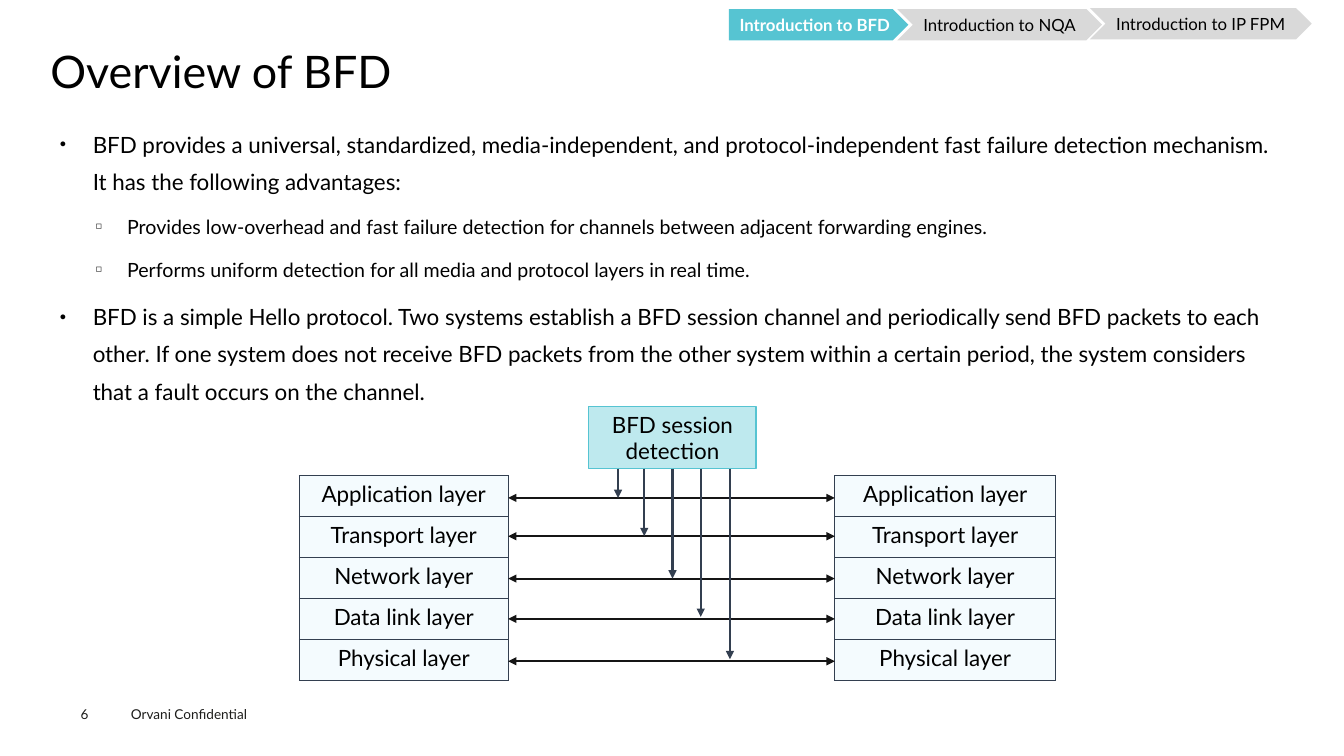
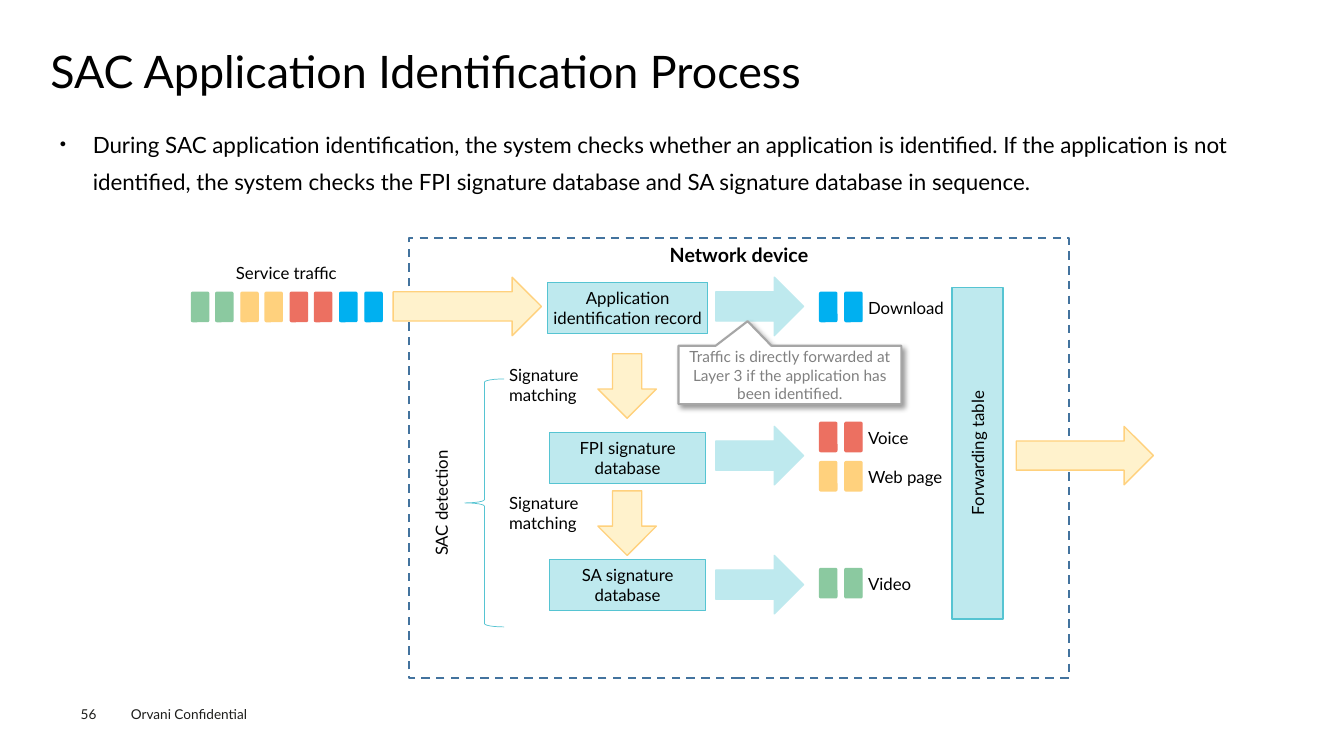
from lxml import etree
from pptx import Presentation
from pptx.dml.color import RGBColor
from pptx.enum.dml import MSO_LINE
from pptx.enum.shapes import MSO_CONNECTOR, MSO_SHAPE
from pptx.enum.text import MSO_ANCHOR, MSO_AUTO_SIZE, PP_ALIGN
from pptx.oxml.ns import qn
from pptx.util import Pt

PX = 9144  # one hundredth of an inch
FONT = "Lato"
LEFT, CENTER = PP_ALIGN.LEFT, PP_ALIGN.CENTER
TOP, MIDDLE = MSO_ANCHOR.TOP, MSO_ANCHOR.MIDDLE
RECT, TOKEN, ARROW = MSO_SHAPE.RECTANGLE, MSO_SHAPE.ROUNDED_RECTANGLE, MSO_SHAPE.RIGHT_ARROW
PENTAGON, CHEVRON = MSO_SHAPE.PENTAGON, MSO_SHAPE.CHEVRON
BRACE, CALLOUT = MSO_SHAPE.LEFT_BRACE, MSO_SHAPE.RECTANGULAR_CALLOUT

BLACK = RGBColor(0x00, 0x00, 0x00)
WHITE = RGBColor(0xFF, 0xFF, 0xFF)
INK = RGBColor(0x1D, 0x1D, 0x1B)
LINK = RGBColor(0x15, 0x15, 0x15)
SLATE = RGBColor(0x33, 0x3F, 0x50)
TEAL = RGBColor(0x56, 0xC4, 0xD2)
PALE_TEAL = RGBColor(0xBE, 0xE9, 0xEE)
ICE = RGBColor(0xF4, 0xFB, 0xFE)
SILVER = RGBColor(0xD9, 0xD9, 0xD9)
GREY = RGBColor(0xA6, 0xA6, 0xA6)
DARK_GREY = RGBColor(0x80, 0x80, 0x80)
NAVY = RGBColor(0x43, 0x73, 0x9E)
CREAM = RGBColor(0xFF, 0xF2, 0xCC)
YELLOW = RGBColor(0xFF, 0xD1, 0x7D)
RED = RGBColor(0xEC, 0x70, 0x61)
GREEN = RGBColor(0x8B, 0xC9, 0xA0)
BLUE = RGBColor(0x00, 0xB0, 0xF0)

TITLE_AREA = (50, 49, 1235, 54)
BODY_AREA = (50, 115, 1235, 533)
FOOTER = "Orvani Confidential"
INSETS = (4, 5, 4, 5)
# per level: size, left margin, indent, space before, bullet
LEVELS = [(16, 33, -33, 7.9, "●"), (14, 67, -31, 7.2, "◻")]

BFD_POINTS = [
    (0, "BFD provides a universal, standardized, media-independent, and protocol-independent "
        "fast failure detection mechanism. It has the following advantages:"),
    (1, "Provides low-overhead and fast failure detection for channels between adjacent "
        "forwarding engines."),
    (1, "Performs uniform detection for all media and protocol layers in real time."),
    (0, "BFD is a simple Hello protocol. Two systems establish a BFD session channel and "
        "periodically send BFD packets to each other. If one system does not receive BFD packets "
        "from the other system within a certain period, the system considers that a fault occurs "
        "on the channel."),
]
CHAPTERS = [
    ("Introduction to BFD", PENTAGON, (723, 9, 178, 31), TEAL, WHITE, True),
    ("Introduction to NQA", CHEVRON, (890, 9, 203, 31), SILVER, BLACK, False),
    ("Introduction to IP FPM", CHEVRON, (1081, 8, 220, 31), SILVER, BLACK, False),
]
# layer, height of its link, place and end of its detection arrow
LAYERS = [
    ("Application layer", 494, 613, 494),
    ("Transport layer", 532, 639, 532),
    ("Network layer", 574, 667, 574),
    ("Data link layer", 614, 695, 612),
    ("Physical layer", 656, 724, 654),
]
STACKS = [(297, 472, 207, 203), (828, 472, 219, 203)]
SESSION = (584, 403, 166, 62)

SAC_POINTS = [
    (0, "During SAC application identification, the system checks whether an application is "
        "identified. If the application is not identified, the system checks the FPI signature "
        "database and SA signature database in sequence."),
]
TRAFFIC = [GREEN, GREEN, YELLOW, YELLOW, RED, RED, BLUE, BLUE]
STAGES = [
    ("Application identification record", (543, 280, 159, 51), 275),
    ("FPI signature database", (545, 429, 155, 51), 423),
    ("SA signature database", (545, 555, 155, 51), 551),
]
RESULTS = [("Download", 290, BLUE), ("Voice", 419, RED), ("Web page", 458, YELLOW),
           ("Video", 564, GREEN)]
FLOWS = [((390, 275, 147, 58), 0), ((590, 354, 64, 58), 90), ((590, 490, 64, 58), 90),
         ((1008, 423, 136, 58), 0)]
LABELS = [("Service traffic", (230, 256, 112, 30)), ("Signature matching", (501, 357, 134, 50)),
          ("Signature matching", (501, 484, 137, 50))]


def emu(lengths):
    return [length * PX for length in lengths]


def write(frame, text, size, colour=BLACK, bold=False, align=LEFT, anchor=TOP, insets=INSETS):
    """Fill a text frame with one formatted paragraph."""
    frame.word_wrap = True
    frame.vertical_anchor = anchor
    (frame.margin_left, frame.margin_top,
     frame.margin_right, frame.margin_bottom) = emu(insets)
    para = frame.paragraphs[0]
    para.alignment = align
    add_span(para, text, size, colour, bold)
    return para


def add_span(para, text, size, colour=BLACK, bold=False):
    span = para.add_run()
    span.text = text
    span.font.name, span.font.size, span.font.bold = FONT, Pt(size), bold
    span.font.color.rgb = colour


def add_label(page, text, area, size=12, **style):
    box = page.shapes.add_textbox(*emu(area))
    write(box.text_frame, text, size, **style)
    return box


def add_box(page, kind, area, fill=None, line=None, width=1, rotation=0):
    box = page.shapes.add_shape(kind, *emu(area))
    box.shadow.inherit = False
    box.rotation = rotation
    if fill is None:
        box.fill.background()
    else:
        box.fill.solid()
        box.fill.fore_color.rgb = fill
    if line is None:
        box.line.fill.background()
    else:
        box.line.color.rgb = line
        box.line.width = Pt(width)
    return box


def add_panel(page, text, area, size=12, insets=(0, 5, 0, 5), rotation=0):
    """Add a pale box with centred text."""
    box = add_box(page, RECT, area, PALE_TEAL, TEAL, rotation=rotation)
    write(box.text_frame, text, size, align=CENTER, anchor=MIDDLE, insets=insets)
    return box


def add_arrow(page, ends, colour, both=False):
    arrow = page.shapes.add_connector(MSO_CONNECTOR.STRAIGHT, *emu(ends))
    arrow.line.color.rgb = colour
    arrow.line.width = Pt(1.5)
    line = arrow.line._get_or_add_ln()
    for tag in ("a:headEnd", "a:tailEnd") if both else ("a:tailEnd",):
        etree.SubElement(line, qn(tag), type="triangle")
    etree.SubElement(arrow._element.spPr, qn("a:effectLst"))
    return arrow


def add_token(page, left, top, colour):
    token = add_box(page, TOKEN, (left, top, 17, 29), colour, colour)
    token.adjustments[0] = 0.07


def add_stack(page, area):
    """Add one column of protocol layers."""
    frame = page.shapes.add_table(len(LAYERS), 1, *emu(area))
    table = frame.table
    table.first_row = table.horz_banding = False
    for row, (layer, *_) in enumerate(LAYERS):
        cell = table.cell(row, 0)
        write(cell.text_frame, layer, 16, align=CENTER)
        cell.margin_left = cell.margin_right = 10 * PX
        cell.margin_top = cell.margin_bottom = 5 * PX
        properties = cell._tc.get_or_add_tcPr()
        for side in ("a:lnL", "a:lnR", "a:lnT", "a:lnB"):
            border = etree.SubElement(properties, qn(side), w=str(Pt(1)))
            fill = etree.SubElement(border, qn("a:solidFill"))
            etree.SubElement(fill, qn("a:srgbClr"), val=str(SLATE))
        cell.fill.solid()
        cell.fill.fore_color.rgb = ICE


def add_shadow(shape):
    effects = shape._element.spPr.find(qn("a:effectLst"))
    shadow = etree.SubElement(effects, qn("a:outerShdw"), blurRad=str(Pt(4)), dist=str(Pt(3)),
                              dir=str(45 * 60000), algn="tl", rotWithShape="0")
    colour = etree.SubElement(shadow, qn("a:srgbClr"), val=str(BLACK))
    etree.SubElement(colour, qn("a:alpha"), val="40000")


def add_points(frame, points):
    frame.auto_size = MSO_AUTO_SIZE.NONE
    frame.vertical_anchor = TOP
    frame.margin_left = frame.margin_right = 9 * PX
    frame.margin_top = frame.margin_bottom = 4 * PX
    for index, (level, text) in enumerate(points):
        size, margin, indent, before, bullet = LEVELS[level]
        para = frame.add_paragraph() if index else frame.paragraphs[0]
        para.level = level
        para.line_spacing = 1.4
        para.space_before = Pt(before if index else 0)
        properties = para._p.get_or_add_pPr()
        properties.set("marL", str(margin * PX))
        properties.set("indent", str(indent * PX))
        etree.SubElement(properties, qn("a:buSzPct"), val="50000")
        etree.SubElement(properties, qn("a:buChar"), char=bullet)
        add_span(para, text, size)


def add_page(deck, title, points, number):
    page = deck.slides.add_slide(deck.slide_layouts[1])
    frame = page.shapes.title.text_frame
    frame.auto_size = MSO_AUTO_SIZE.NONE
    write(frame, title, 32, insets=(0, 0, 0, 0)).line_spacing = 0.9
    add_points(page.placeholders[1].text_frame, points)
    add_label(page, FOOTER, (120, 695, 160, 27), 9.7, colour=INK, insets=(10, 5, 10, 5))
    add_label(page, str(number), (80, 700, 55, 16), 9.7, colour=INK, insets=(0, 0, 0, 0))
    return page


def build_bfd(deck):
    page = add_page(deck, "Overview of BFD", BFD_POINTS, 6)
    for area in STACKS:
        add_stack(page, area)
    link_left, link_right = STACKS[0][0] + STACKS[0][2], STACKS[1][0]
    session = add_panel(page, "BFD session detection", SESSION, 16, INSETS)
    session_middle = SESSION[0] + SESSION[2] // 2
    session_bottom = SESSION[1] + SESSION[3]
    for _, link, drop, drop_end in LAYERS:
        add_arrow(page, (link_left, link, link_right, link), LINK, both=True)
        arrow = add_arrow(page, (drop, session_bottom, drop, drop_end), SLATE)
        if drop == session_middle:
            arrow.begin_connect(session, 2)
    for text, kind, area, fill, colour, bold in CHAPTERS:
        chapter = add_box(page, kind, area, fill)
        write(chapter.text_frame, text, 12, colour, bold, CENTER, MIDDLE, (0, 0, 0, 0))


def build_sac(deck):
    page = add_page(deck, "SAC Application Identification Process", SAC_POINTS, 56)
    device = add_box(page, RECT, (406, 236, 654, 437), line=NAVY, width=1.5)
    device.line.dash_style = MSO_LINE.DASH
    write(device.text_frame, "Network device", 14, bold=True, align=CENTER)
    for index, colour in enumerate(TRAFFIC):
        add_token(page, 190 + index * 172 // 7, 290, colour)
    for area, rotation in FLOWS:
        add_box(page, ARROW, area, CREAM, YELLOW, rotation=rotation)
    for text, area in LABELS:
        add_label(page, text, area)
    for text, area, arrow_top in STAGES:
        add_panel(page, text, area)
        add_box(page, ARROW, (710, arrow_top, 87, 58), PALE_TEAL, PALE_TEAL)
    for text, top, colour in RESULTS:
        for left in (813, 838):
            add_token(page, left, top, colour)
        add_label(page, text, (857, top, 86, 30))
    add_box(page, BRACE, (461, 376, 39, 246), line=TEAL, width=0.5)
    add_label(page, "SAC detection", (375, 484, 125, 30), align=CENTER).rotation = 270
    callout = add_box(page, CALLOUT, (673, 343, 221, 58), WHITE, GREY, 1.5)
    callout.adjustments[0], callout.adjustments[1] = -0.19, -0.92
    add_shadow(callout)
    write(callout.text_frame, "Traffic is directly forwarded at Layer 3 if the application has "
          "been identified.", 11, DARK_GREY, align=CENTER, anchor=MIDDLE)
    add_panel(page, "Forwarding table", (805, 424, 329, 51), insets=INSETS, rotation=270)


def main():
    deck = Presentation()
    deck.slide_width, deck.slide_height = emu((1333, 750))
    for holder, area in zip(deck.slide_layouts[1].placeholders, (TITLE_AREA, BODY_AREA)):
        holder.left, holder.top, holder.width, holder.height = emu(area)
    build_bfd(deck)
    build_sac(deck)
    deck.save("out.pptx")


if __name__ == "__main__":
    main()
